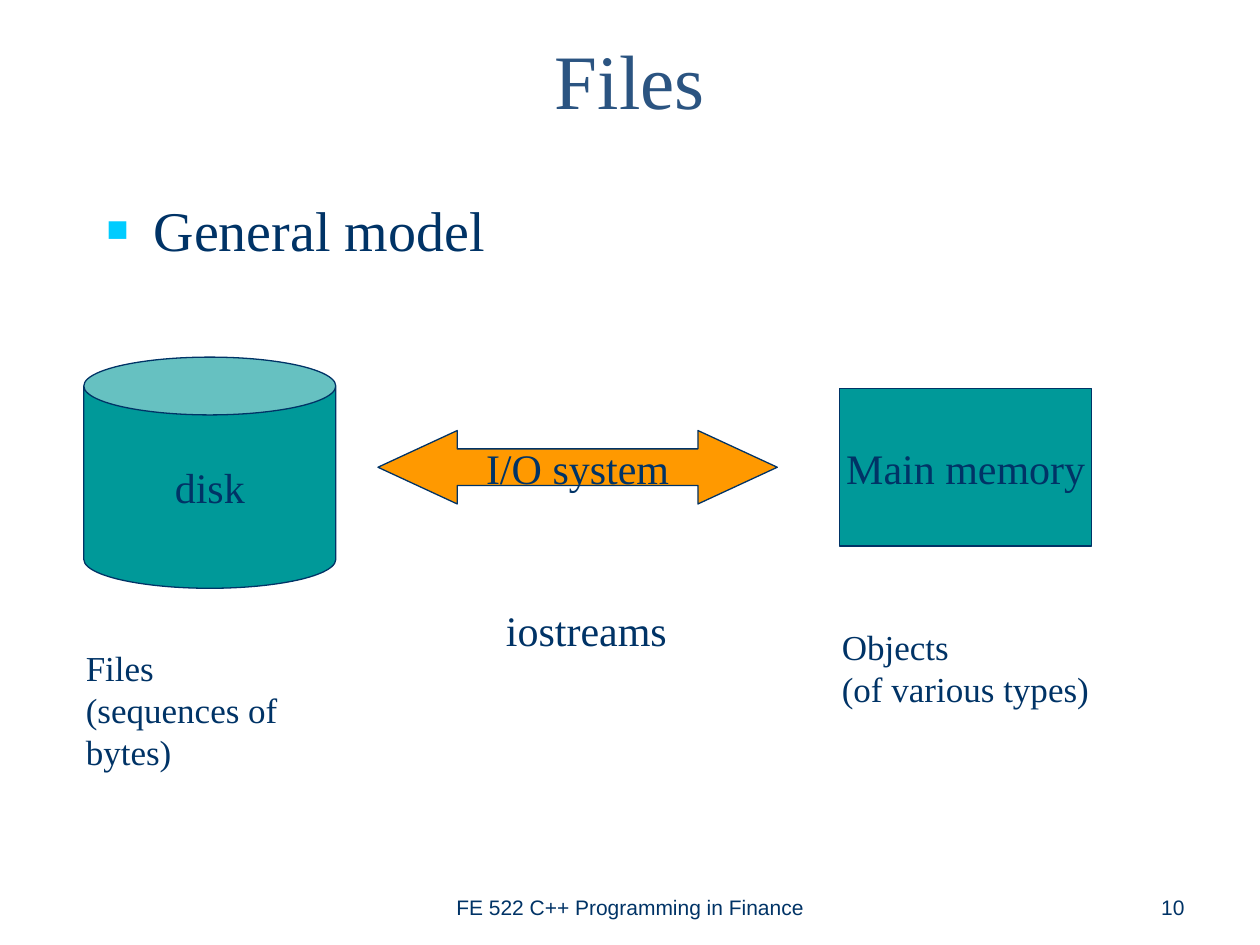
"""Build the slide on files and the general model of input and output."""
from dataclasses import dataclass

from lxml.etree import SubElement
from pptx import Presentation
from pptx.dml.color import RGBColor
from pptx.enum.shapes import MSO_SHAPE
from pptx.enum.text import MSO_ANCHOR, PP_ALIGN
from pptx.oxml.ns import qn
from pptx.util import Cm, Pt


@dataclass(frozen=True)
class Theme:
    serif: str = "Times New Roman"
    sans: str = "Arial"
    ink: str = "003366"
    heading: str = "2B5481"
    bullet: str = "00CCFF"
    store: str = "009999"
    channel: str = "FF9900"
    title_size: int = 44
    point_size: int = 32
    label_size: int = 24
    note_size: int = 20
    footer_size: int = 12
    outline: float = 0.75


THEME = Theme()
LEFT, CENTER, RIGHT = PP_ALIGN.LEFT, PP_ALIGN.CENTER, PP_ALIGN.RIGHT
TOP, MIDDLE, BOTTOM = MSO_ANCHOR.TOP, MSO_ANCHOR.MIDDLE, MSO_ANCHOR.BOTTOM

TITLE = ("Files", (1.9, 0, 21.6, 3.18))
POINT = ("General model", (1.9, 3.81, 21.6, 2.33))
MODEL = [
    ("disk", MSO_SHAPE.CAN, (1.69, 7.2, 5.08, 4.66), THEME.store, [0.25]),
    ("I/O system", MSO_SHAPE.LEFT_RIGHT_ARROW, (7.62, 8.68, 8.05, 1.48), THEME.channel, [0.5, 1.08]),
    ("Main memory", MSO_SHAPE.RECTANGLE, (16.93, 7.83, 5.08, 3.18), THEME.store, []),
]
NOTES = [
    (["Files", "(sequences of bytes)"], (1.48, 12.91, 6.27, 1.96), THEME.note_size, False, 0),
    (["iostreams"], (9.95, 12.06, 3.76, 1.27), THEME.label_size, False, 0),
    (["Objects\v(of various types)"], (16.72, 12.49, 7.42, 1.96), THEME.note_size, True, 12.5),
]
FOOTER = [
    ("FE 522 C++ Programming in Finance", (8.68, 17.36, 8.05, 1.31), CENTER),
    ("10", (18.2, 17.36, 5.93, 1.31), RIGHT),
]


def write(shape, lines, size, align=LEFT, anchor=TOP, wrap=True, font=THEME.serif,
          color=THEME.ink, space_before=0):
    frame = shape.text_frame
    frame.text = "\n".join(lines)
    frame.word_wrap = wrap
    frame.vertical_anchor = anchor
    for paragraph in frame.paragraphs:
        paragraph.alignment = align
        paragraph.space_before = Pt(space_before)
        paragraph.font.name = font
        paragraph.font.size = Pt(size)
        paragraph.font.color.rgb = RGBColor.from_string(color)
    return frame


def add_text(slide, box, lines, size, **style):
    return write(slide.shapes.add_textbox(*map(Cm, box)), lines, size, **style)


def add_bullet(paragraph):
    properties = paragraph._p.get_or_add_pPr()
    properties.set("marL", str(Cm(0.95)))
    properties.set("indent", str(-Cm(0.95)))
    defaults = properties.find(qn("a:defRPr"))
    color = SubElement(properties, qn("a:buClr"))
    SubElement(color, qn("a:srgbClr"), val=THEME.bullet)
    SubElement(properties, qn("a:buSzPct"), val="65000")
    SubElement(properties, qn("a:buFont"), typeface=THEME.sans)
    SubElement(properties, qn("a:buChar"), char="■")
    properties.append(defaults)


def add_part(slide, label, kind, box, fill, adjustments):
    part = slide.shapes.add_shape(kind, *map(Cm, box))
    part.shadow.inherit = False
    part.fill.solid()
    part.fill.fore_color.rgb = RGBColor.from_string(fill)
    part.line.color.rgb = RGBColor.from_string(THEME.ink)
    part.line.width = Pt(THEME.outline)
    for index, value in enumerate(adjustments):
        part.adjustments[index] = value
    write(part, [label], THEME.label_size, align=CENTER, anchor=MIDDLE, wrap=False)


def main():
    presentation = Presentation()
    presentation.slide_width, presentation.slide_height = Cm(25.4), Cm(19.05)
    slide = presentation.slides.add_slide(presentation.slide_layouts[6])

    title, title_box = TITLE
    add_text(slide, title_box, [title], THEME.title_size, align=CENTER, anchor=MIDDLE,
             color=THEME.heading)
    point, point_box = POINT
    point_frame = add_text(slide, point_box, [point], THEME.point_size, space_before=8)
    add_bullet(point_frame.paragraphs[0])

    for part in MODEL:
        add_part(slide, *part)
    for lines, box, size, wrap, space_before in NOTES:
        add_text(slide, box, lines, size, wrap=wrap, space_before=space_before)
    for words, box, align in FOOTER:
        add_text(slide, box, [words], THEME.footer_size, align=align, anchor=BOTTOM,
                 font=THEME.sans)

    presentation.save("out.pptx")


if __name__ == "__main__":
    main()
